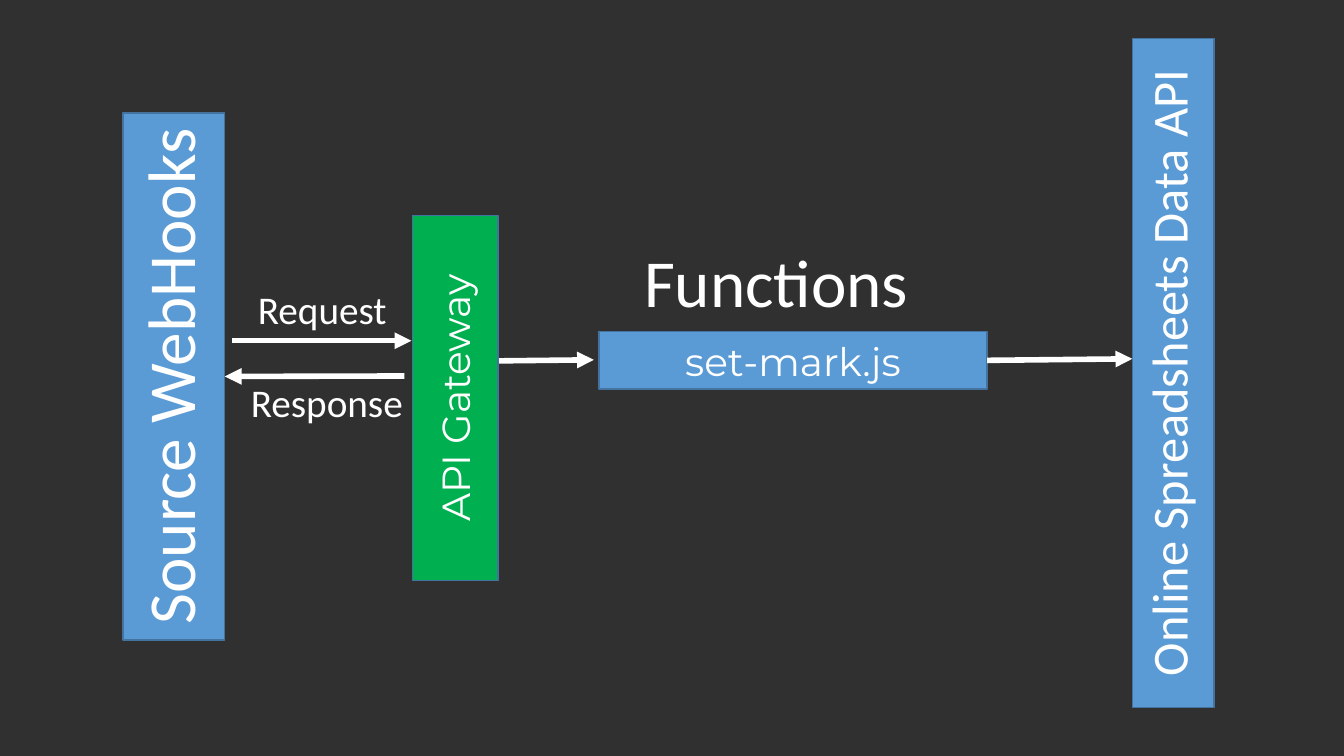
from lxml.etree import SubElement
from pptx import Presentation
from pptx.dml.color import RGBColor
from pptx.enum.shapes import MSO_CONNECTOR, MSO_SHAPE
from pptx.enum.text import MSO_ANCHOR, MSO_AUTO_SIZE, PP_ALIGN
from pptx.oxml.ns import qn
from pptx.util import Inches, Pt

BLUE, GREEN, EDGE = "5B9BD5", "00B050", "43739E"
WHITE, DARK = "FFFFFF", "303030"
TOP, MIDDLE = MSO_ANCHOR.TOP, MSO_ANCHOR.MIDDLE


def paint(fill, color):
    """Make a fill solid in a hex colour."""
    fill.solid()
    fill.fore_color.rgb = RGBColor.from_string(color)


def write(shape, text, size, font):
    """Put one white paragraph in a shape and return it."""
    para = shape.text_frame.paragraphs[0]
    para.text = text
    para.font.size = Pt(size)
    para.font.name = font
    para.font.color.rgb = RGBColor.from_string(WHITE)
    return para


def add_box(slide, place, text, size, font, color=BLUE, anchor=MIDDLE, upright=True):
    """Add a filled box, with its text turned upwards if upright."""
    box = slide.shapes.add_shape(MSO_SHAPE.RECTANGLE, *map(Inches, place))
    box.shadow.inherit = False
    paint(box.fill, color)
    paint(box.line.fill, EDGE)
    box.line.width = Pt(1)
    write(box, text, size, font).alignment = PP_ALIGN.CENTER
    frame = box.text_frame
    frame.word_wrap = True
    frame.vertical_anchor = anchor
    if anchor == TOP:
        frame.auto_size = MSO_AUTO_SIZE.SHAPE_TO_FIT_TEXT
    if upright:
        box.element.txBody.bodyPr.set("vert", "vert270")
    return box


def add_label(slide, place, text, size):
    """Add a free label that does not wrap."""
    label = slide.shapes.add_textbox(*map(Inches, place))
    write(label, text, size, "Calibri")
    label.text_frame.word_wrap = False
    label.text_frame.auto_size = MSO_AUTO_SIZE.SHAPE_TO_FIT_TEXT


def add_arrow(slide, start, end):
    """Add a thick white arrow between two points."""
    points = map(Inches, (*start, *end))
    arrow = slide.shapes.add_connector(MSO_CONNECTOR.STRAIGHT, *points)
    paint(arrow.line.fill, WHITE)
    arrow.line.width = Pt(4)
    props = arrow.element.spPr
    SubElement(props.find(qn("a:ln")), qn("a:tailEnd"), type="triangle")
    SubElement(props, qn("a:effectLst"))
    return arrow


def main():
    """Build the slide and save it."""
    deck = Presentation()
    deck.slide_width, deck.slide_height = Inches(13.33), Inches(7.5)
    slide = deck.slides.add_slide(deck.slide_layouts[6])
    paint(slide.background.fill, DARK)

    hooks = add_box(slide, (1.22, 1.12, 1.01, 5.23), "Source WebHooks", 48,
                    "Calibri", anchor=TOP)
    add_box(slide, (4.09, 2.14, 0.85, 3.62), "API Gateway", 28,
            "Montserrat", color=GREEN)
    script = add_box(slide, (5.94, 3.29, 3.85, 0.57), "set-mark.js", 28,
                     "Montserrat", upright=False)
    add_box(slide, (11.23, 0.38, 0.81, 6.64), "Online Spreadsheets Data API", 36,
            "Calibri", anchor=TOP)

    add_label(slide, (2.46, 2.78, 1.49, 0.57), "Request", 28)
    add_label(slide, (2.39, 3.7, 1.73, 0.57), "Response", 28)
    add_label(slide, (6.29, 2.33, 2.86, 0.91), "Functions", 48)

    add_arrow(slide, (2.3, 3.38), (4.08, 3.38))
    reply = add_arrow(slide, (4.01, 3.73), (2.23, 3.73))
    reply.end_connect(hooks, 3)
    add_arrow(slide, (4.95, 3.58), (5.89, 3.57))
    store = add_arrow(slide, (9.78, 3.57), (11.23, 3.56))
    store.begin_connect(script, 3)

    deck.save("out.pptx")


if __name__ == "__main__":
    main()
